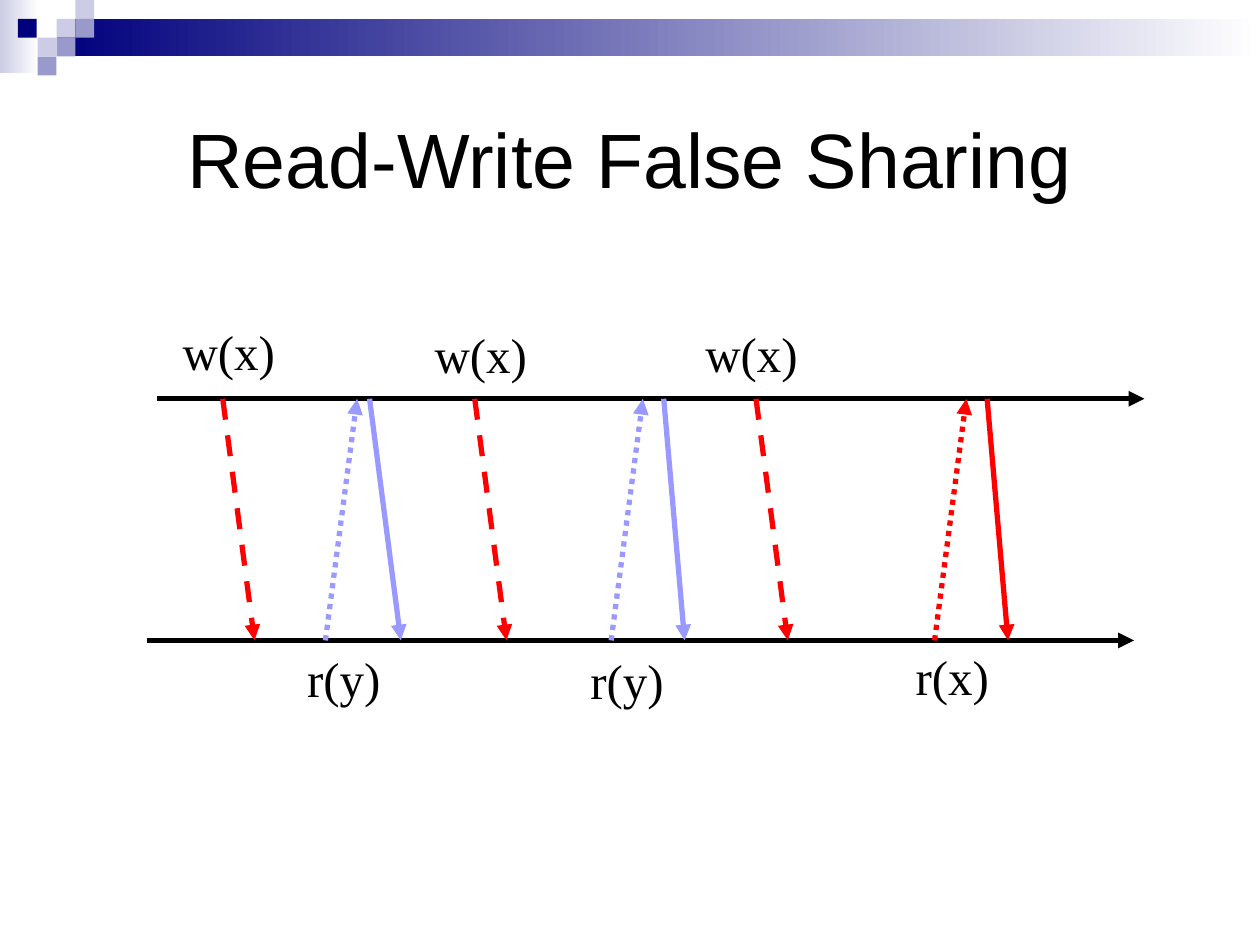
from dataclasses import dataclass

from lxml.etree import SubElement
from pptx import Presentation
from pptx.dml.color import RGBColor as Rgb
from pptx.enum.dml import MSO_LINE as Dash
from pptx.enum.shapes import MSO_CONNECTOR as Connector, MSO_SHAPE as Preset
from pptx.enum.text import MSO_ANCHOR as Anchor, MSO_AUTO_SIZE as AutoSize, PP_ALIGN as Align
from pptx.oxml.ns import qn
from pptx.util import Cm, Pt


@dataclass(frozen=True)
class Theme:
    ink: Rgb = Rgb(0, 0, 0)
    paper: Rgb = Rgb(255, 255, 255)
    navy: Rgb = Rgb(0x00, 0x00, 0x7D)
    lilac: Rgb = Rgb(0x99, 0x99, 0xCC)
    mist: Rgb = Rgb(0xCC, 0xCC, 0xE6)
    red: Rgb = Rgb(0xFF, 0x00, 0x00)
    periwinkle: Rgb = Rgb(0x99, 0x99, 0xFF)
    title_font: str = "Arial"
    label_font: str = "Times New Roman"
    title_size: Pt = Pt(44)
    label_size: Pt = Pt(28)
    stroke: Pt = Pt(3)


THEME = Theme()
TILE = 0.38
WRITER_Y = 8.04
READER_Y = 12.91
SLANT = 0.64


def style_text(paragraph, font_name, size):
    for run in paragraph.runs:
        run.font.name = font_name
        run.font.size = size
        run.font.color.rgb = THEME.ink


def add_block(slide, left, top, width, height):
    block = slide.shapes.add_shape(
        Preset.RECTANGLE, Cm(left), Cm(top), Cm(width), Cm(height))
    block.shadow.inherit = False
    block.line.fill.background()
    return block


def add_tile(slide, column, row, color):
    tile = add_block(slide, column * TILE, row * TILE, TILE, TILE)
    tile.fill.solid()
    tile.fill.fore_color.rgb = color


def add_fading_band(slide, left, top, width, height, color):
    band = add_block(slide, left, top, width, height)
    band.fill.gradient()
    band.fill.gradient_angle = 0
    for stop, shade in zip(band.fill.gradient_stops, (color, THEME.paper)):
        stop.color.rgb = shade


def add_arrow(slide, start, end, color, dash=None):
    arrow = slide.shapes.add_connector(
        Connector.STRAIGHT, *(Cm(value) for value in (*start, *end)))
    arrow.line.color.rgb = color
    arrow.line.width = THEME.stroke
    if dash:
        arrow.line.dash_style = dash
    SubElement(arrow.line._get_or_add_ln(), qn("a:tailEnd"), type="triangle")
    SubElement(arrow._element.spPr, qn("a:effectLst"))


def add_label(slide, left, top, width, text):
    label = slide.shapes.add_textbox(Cm(left), Cm(top), Cm(width), Cm(1.45))
    frame = label.text_frame
    frame.word_wrap = False
    frame.auto_size = AutoSize.SHAPE_TO_FIT_TEXT
    frame.text = text
    style_text(frame.paragraphs[0], THEME.label_font, THEME.label_size)


def set_title(slide, text):
    title = slide.shapes.title
    title.left, title.top, title.width, title.height = (
        Cm(value) for value in (1.27, 1.27, 22.86, 3.81))
    frame = title.text_frame
    frame.text = text
    frame.vertical_anchor = Anchor.MIDDLE
    frame.paragraphs[0].alignment = Align.CENTER
    style_text(frame.paragraphs[0], THEME.title_font, THEME.title_size)


def add_banner(slide):
    add_fading_band(slide, 0, 0, 0.78, 1.48, THEME.mist)
    add_fading_band(slide, 3 * TILE, TILE, 25.4 - 3 * TILE, 2 * TILE, THEME.navy)
    mosaic = {
        THEME.mist: ((3, 1), (4, 0), (2, 2)),
        THEME.lilac: ((4, 1), (3, 2), (2, 3)),
        THEME.navy: ((0.95, 1),),
    }
    for color, cells in mosaic.items():
        for column, row in cells:
            add_tile(slide, column, row, color)


def add_messages(slide):
    for update_x in (4.49, 9.57, 15.24):
        add_arrow(slide, (update_x, WRITER_Y), (update_x + SLANT, READER_Y),
                  THEME.red, Dash.DASH)
    exchanges = (
        (6.56, 7.45, 8.08, THEME.periwinkle),
        (12.32, 13.38, 13.8, THEME.periwinkle),
        (18.84, 19.9, 20.32, THEME.red),
    )
    for request_x, reply_x, arrival_x, color in exchanges:
        add_arrow(slide, (request_x, READER_Y), (request_x + SLANT, WRITER_Y),
                  color, Dash.ROUND_DOT)
        add_arrow(slide, (reply_x, WRITER_Y), (arrival_x, READER_Y), color)


def main():
    deck = Presentation()
    deck.slide_width, deck.slide_height = Cm(25.4), Cm(19.05)
    slide = deck.slides.add_slide(deck.slide_layouts[5])

    add_banner(slide)
    set_title(slide, "Read-Write False Sharing")
    for start_x, axis_y in ((3.17, WRITER_Y), (2.96, READER_Y)):
        add_arrow(slide, (start_x, axis_y), (start_x + 19.9, axis_y), THEME.ink)
    add_messages(slide)
    for left, top in ((3.43, 6.35), (8.51, 6.41), (13.97, 6.4)):
        add_label(slide, left, top, 2.4, "w(x)")
    for left, top, read in ((5.94, 12.95, "r(y)"), (11.65, 12.98, "r(y)"),
                            (18.21, 12.9, "r(x)")):
        add_label(slide, left, top, 2, read)

    deck.save("out.pptx")


if __name__ == "__main__":
    main()
